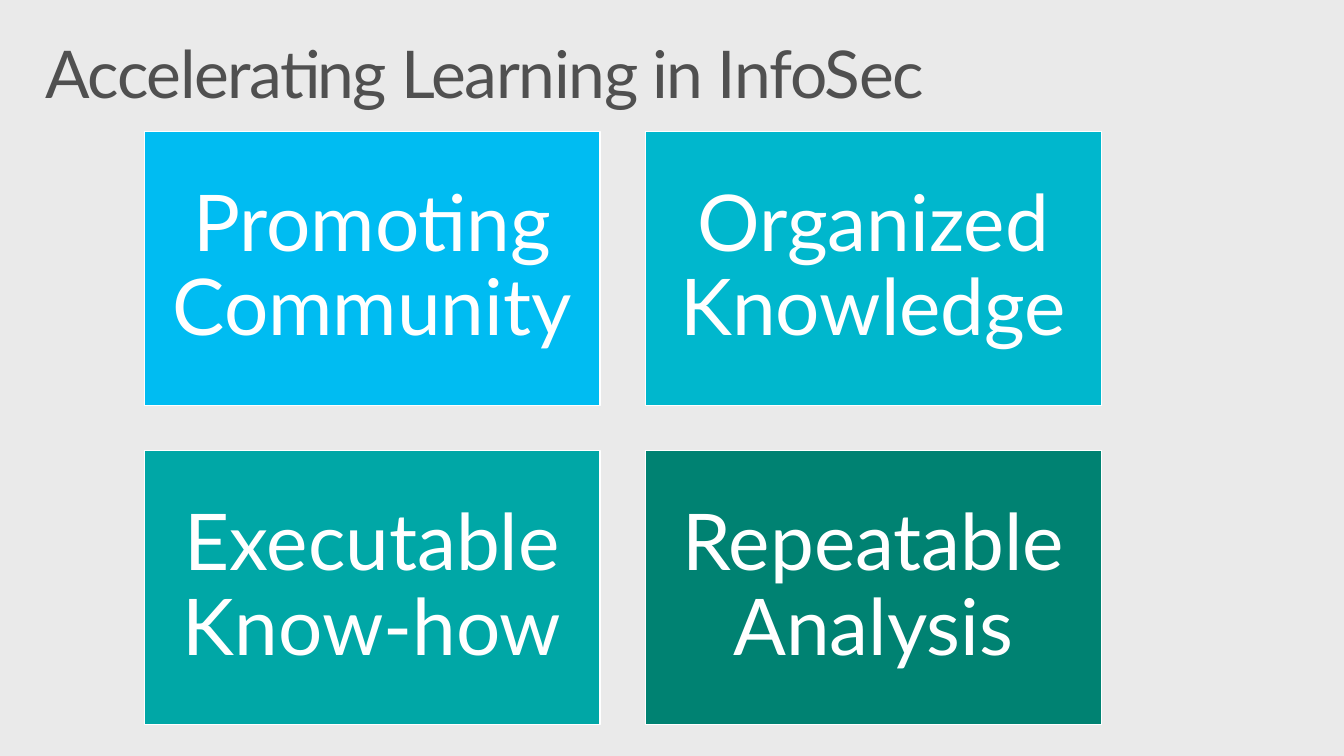
from collections import namedtuple
from dataclasses import dataclass

from pptx import Presentation
from pptx.dml.color import RGBColor
from pptx.enum.shapes import MSO_SHAPE
from pptx.enum.text import MSO_ANCHOR, MSO_AUTO_SIZE, PP_ALIGN
from pptx.util import Cm, Pt

Box = namedtuple("Box", "left top width height")


@dataclass(frozen=True)
class Theme:
    font: str = "Lato"
    background: str = "EAEAEA"
    title_color: str = "505050"
    tile_text: str = "FFFFFF"
    tile_line: str = "FFFFFF"
    title_size: float = 48
    tile_size: float = 57
    line_width: float = 0.85
    line_spacing: float = 0.9


THEME = Theme()
TILES = [
    ("Promoting Community", "00BCF2"),
    ("Organized Knowledge", "00B7CD"),
    ("Executable Know-how", "00A7A6"),
    ("Repeatable Analysis", "008272"),
]
COLUMNS = 2
TILE_GAP = Cm(1.17)


def write_text(shape, text, *, size, color, align, anchor, inset_x, inset_y, tracking=0):
    frame = shape.text_frame
    frame.word_wrap = True
    frame.auto_size = MSO_AUTO_SIZE.NONE
    frame.vertical_anchor = anchor
    frame.margin_left = frame.margin_right = inset_x
    frame.margin_top = frame.margin_bottom = inset_y
    para = frame.paragraphs[0]
    para.alignment = align
    para.line_spacing = THEME.line_spacing
    para.space_before = Pt(0)
    span = para.add_run()
    span.text = text
    span.font.name = THEME.font
    span.font.size = Pt(size)
    span.font.color.rgb = RGBColor.from_string(color)
    if tracking:
        # Letter spacing is stored in hundredths of a point
        span.font._element.set("spc", str(tracking * 100))


def place_title(page, box, text):
    title = page.shapes.title
    title.left, title.top, title.width, title.height = box
    write_text(title, text, size=THEME.title_size, color=THEME.title_color,
               align=PP_ALIGN.LEFT, anchor=MSO_ANCHOR.TOP,
               inset_x=Cm(0.41), inset_y=Cm(0.25), tracking=-1)


def add_tile(page, box, text, color):
    tile = page.shapes.add_shape(MSO_SHAPE.RECTANGLE, *box)
    tile.shadow.inherit = False
    tile.fill.solid()
    tile.fill.fore_color.rgb = RGBColor.from_string(color)
    tile.line.color.rgb = RGBColor.from_string(THEME.tile_line)
    tile.line.width = Pt(THEME.line_width)
    write_text(tile, text, size=THEME.tile_size, color=THEME.tile_text,
               align=PP_ALIGN.CENTER, anchor=MSO_ANCHOR.MIDDLE,
               inset_x=Cm(0.6), inset_y=Cm(0.6))


def add_tile_grid(page, box, tiles):
    rows = len(tiles) // COLUMNS
    width = (box.width - TILE_GAP * (COLUMNS - 1)) // COLUMNS
    height = (box.height - TILE_GAP * (rows - 1)) // rows
    for index, (text, color) in enumerate(tiles):
        row, column = divmod(index, COLUMNS)
        left = box.left + column * (width + TILE_GAP)
        top = box.top + row * (height + TILE_GAP)
        add_tile(page, Box(left, top, width, height), text, color)


def main():
    deck = Presentation()
    deck.slide_width, deck.slide_height = Cm(34.54), Cm(19.43)
    page = deck.slides.add_slide(deck.slide_layouts[5])

    # Background
    page.background.fill.solid()
    page.background.fill.fore_color.rgb = RGBColor.from_string(THEME.background)

    # Title
    place_title(page, Box(Cm(0.76), Cm(0.81), Cm(33.02), Cm(2.54)),
                "Accelerating Learning in InfoSec")

    # Four tiles
    add_tile_grid(page, Box(Cm(3.71), Cm(3.38), Cm(24.59), Cm(15.24)), TILES)

    deck.save("out.pptx")


if __name__ == "__main__":
    main()
